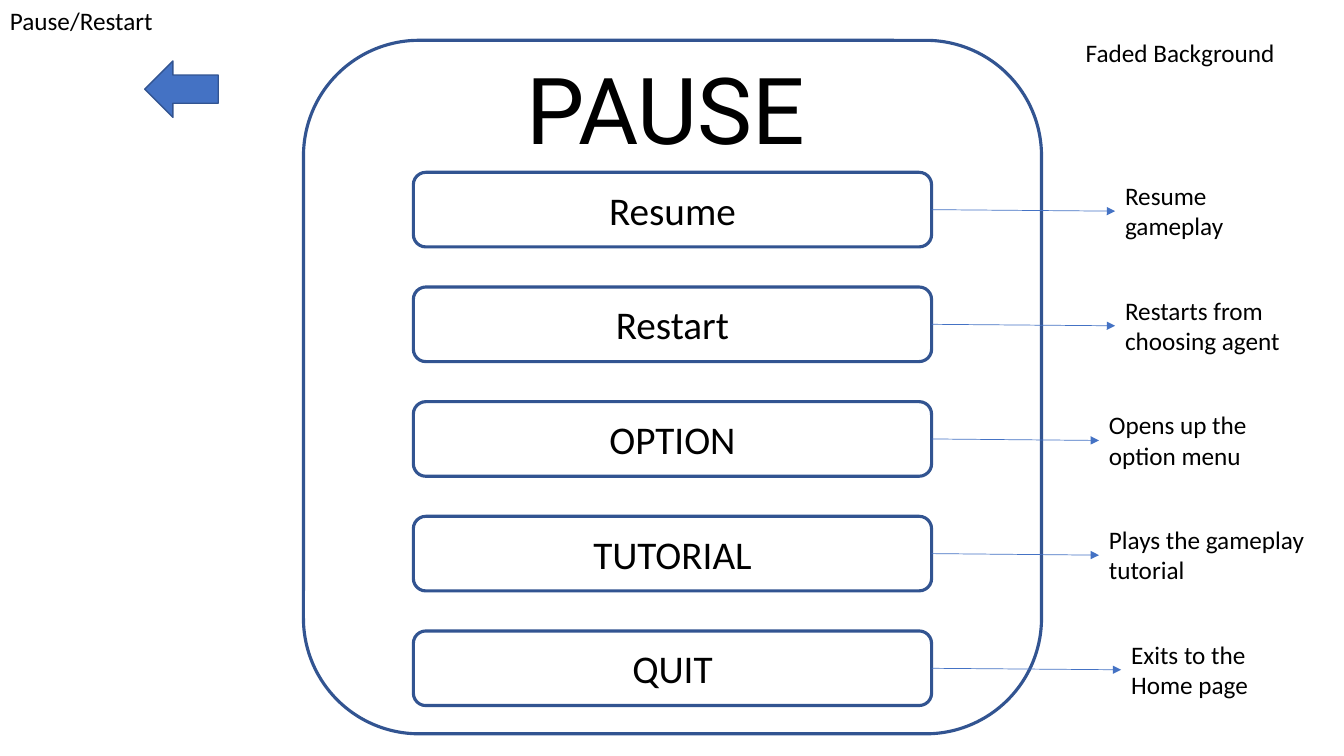
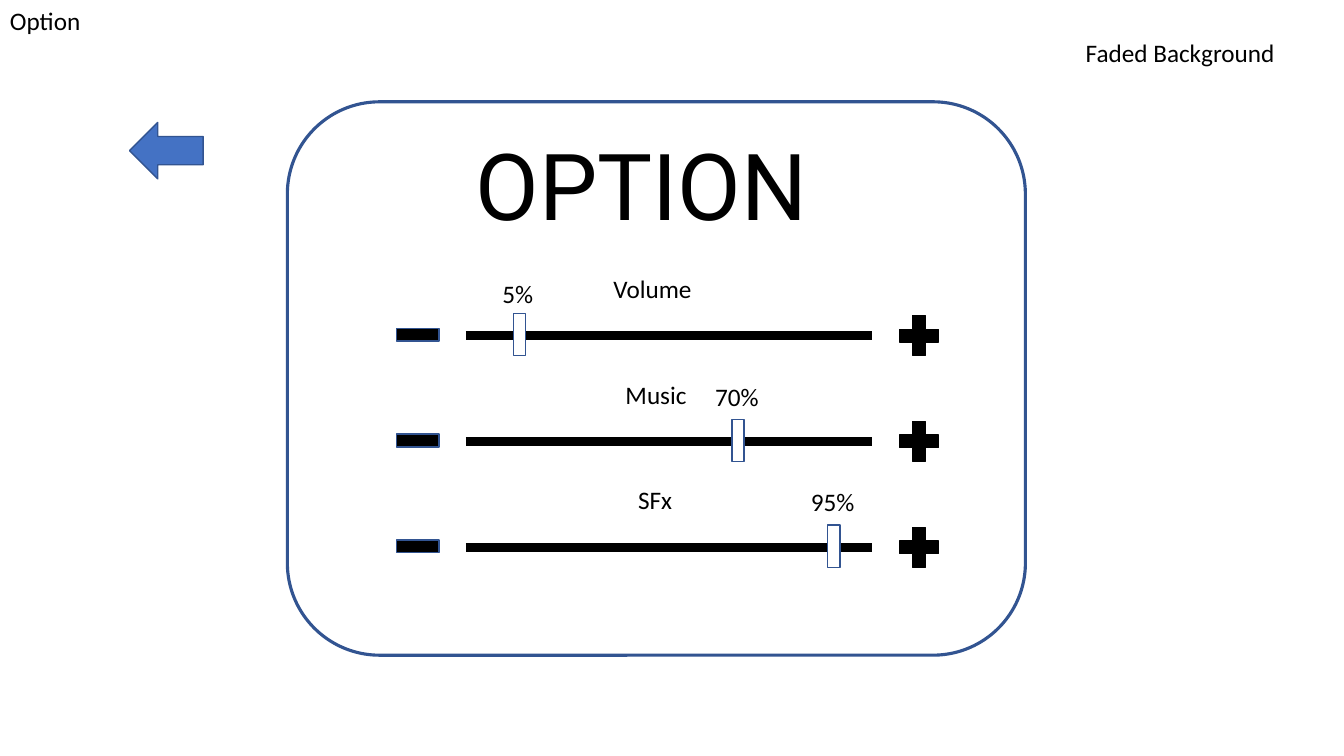
from dataclasses import dataclass

from lxml import etree
from pptx import Presentation
from pptx.dml.color import RGBColor
from pptx.enum.shapes import MSO_CONNECTOR, MSO_SHAPE
from pptx.enum.text import MSO_ANCHOR, MSO_AUTO_SIZE, PP_ALIGN
from pptx.oxml.ns import qn
from pptx.util import Inches, Pt

STRAIGHT = MSO_CONNECTOR.STRAIGHT
ROUNDED, RECTANGLE = MSO_SHAPE.ROUNDED_RECTANGLE, MSO_SHAPE.RECTANGLE
DOWN_ARROW = MSO_SHAPE.DOWN_ARROW
PLUS, MINUS = MSO_SHAPE.MATH_PLUS, MSO_SHAPE.MATH_MINUS
MIDDLE, CENTER = MSO_ANCHOR.MIDDLE, PP_ALIGN.CENTER
GROW = MSO_AUTO_SIZE.SHAPE_TO_FIT_TEXT
LEFT_SIDE, RIGHT_SIDE = 1, 3


@dataclass(frozen=True)
class Theme:
    black: RGBColor = RGBColor(0x00, 0x00, 0x00)
    white: RGBColor = RGBColor(0xFF, 0xFF, 0xFF)
    blue: RGBColor = RGBColor(0x44, 0x72, 0xC4)
    outline: RGBColor = RGBColor(0x32, 0x54, 0x91)
    body_font: str = "Calibri"
    title_font: str = "Roboto"
    label_size: int = 18
    button_size: int = 28
    title_size: int = 66
    thin: float = 0.5
    normal: float = 1
    frame: float = 2.25
    track: float = 6


THEME = Theme()

# Content: screens give boxes as (left, top, width, height) in inches
BACKGROUND_NOTE = "Faded Background"
PAUSE_SCREEN = {
    "name": "Pause/Restart", "name_width": 1.66,
    "title": "PAUSE", "title_box": (5.12, 0.47, 3.09, 1.21),
    "panel": (3.01, 0.4, 7.32, 6.88), "back": (1.52, 0.52),
}
OPTION_SCREEN = {
    "name": "Option", "name_width": 1.05,
    "title": "OPTION", "title_box": (4.62, 1.22, 3.78, 1.21),
    "panel": (2.85, 1.01, 7.32, 5.49), "back": (1.37, 1.13),
}
# Button, explanation, left and width of the explanation
BUTTONS = [
    ("Resume", "Resume gameplay", 11.06, 1.98),
    ("Restart", "Restarts from choosing agent", 11.06, 1.98),
    ("OPTION", "Opens up the option menu", 10.9, 1.98),
    ("TUTORIAL", "Plays the gameplay tutorial", 10.9, 2.15),
    ("QUIT", "Exits to the Home page", 11.12, 1.98),
]
# Name and its width, value and its width, rise of the value, handle centre
SLIDERS = [
    ("Volume", 1.05, "5%", 0.53, 0.62, 5.15),
    ("Music", 0.81, "70%", 0.65, 0.65, 7.32),
    ("SFx", 0.56, "95%", 0.65, 0.65, 8.27),
]

# Layout
BUTTON_LEFT, BUTTON_WIDTH, BUTTON_HEIGHT = 4.1, 5.14, 0.74
FIRST_BUTTON, LAST_BUTTON = 1.71, 6.26
TRACK_LEFT, TRACK_RIGHT, FIRST_TRACK, TRACK_PITCH = 4.62, 8.65, 3.33, 1.05
NAME_CENTER, LABEL_HEIGHT = 6.51, 0.4


def add_text(slide, text, box, size=THEME.label_size, font=THEME.body_font):
    shape = slide.shapes.add_textbox(*map(Inches, box))
    frame = shape.text_frame
    frame.word_wrap = True
    frame.auto_size = GROW
    set_text(frame, text, size, font)
    return shape


def set_text(frame, text, size, font):
    paragraph = frame.paragraphs[0]
    paragraph.text = text
    paragraph.font.size = Pt(size)
    paragraph.font.name = font
    paragraph.font.color.rgb = THEME.black
    return paragraph


def add_shape(slide, kind, box, fill=None, line=THEME.outline, width=THEME.normal):
    shape = slide.shapes.add_shape(kind, *map(Inches, box))
    shape.shadow.inherit = False
    if fill is None:
        shape.fill.background()
    else:
        shape.fill.solid()
        shape.fill.fore_color.rgb = fill
    shape.line.color.rgb = line
    shape.line.width = Pt(width)
    return shape


def add_line(slide, start, end, color, width):
    line = slide.shapes.add_connector(STRAIGHT, *map(Inches, (*start, *end)))
    line.line.color.rgb = color
    line.line.width = Pt(width)
    etree.SubElement(line._element.spPr, qn("a:effectLst"))
    return line


def add_screen(presentation, screen):
    """Everything the screens share: panel, name, title, back arrow, note."""
    slide = presentation.slides.add_slide(presentation.slide_layouts[6])
    add_shape(slide, ROUNDED, screen["panel"], THEME.white, width=THEME.frame)
    add_text(slide, screen["name"], (0, 0, screen["name_width"], LABEL_HEIGHT))
    arrow = add_shape(slide, DOWN_ARROW, (*screen["back"], 0.56, 0.73), THEME.blue)
    arrow.rotation = 90
    add_text(slide, screen["title"], screen["title_box"],
             THEME.title_size, THEME.title_font)
    add_text(slide, BACKGROUND_NOTE, (10.67, 0.32, 2.44, LABEL_HEIGHT))
    return slide


def add_button(slide, top, label, explanation, note_left, note_width):
    button = add_shape(slide, ROUNDED,
                       (BUTTON_LEFT, top, BUTTON_WIDTH, BUTTON_HEIGHT),
                       width=THEME.frame)
    button.text_frame.vertical_anchor = MIDDLE
    paragraph = set_text(button.text_frame, label, THEME.button_size, THEME.body_font)
    paragraph.alignment = CENTER
    note = add_text(slide, explanation, (note_left, top + 0.03, note_width, 0.71))

    # Arrow from the button to its explanation
    middle = top + BUTTON_HEIGHT / 2
    arrow = add_line(slide, (BUTTON_LEFT + BUTTON_WIDTH, middle),
                     (note_left, middle), THEME.blue, THEME.thin)
    arrow.begin_connect(button, RIGHT_SIDE)
    arrow.end_connect(note, LEFT_SIDE)
    outline = arrow.line._get_or_add_ln()
    etree.SubElement(outline, qn("a:tailEnd"), type="triangle")


def add_slider(slide, y, name, name_width, value, value_width, rise, handle):
    add_text(slide, name,
             (NAME_CENTER - name_width / 2, y - 0.67, name_width, LABEL_HEIGHT))
    add_line(slide, (TRACK_LEFT, y), (TRACK_RIGHT, y), THEME.black, THEME.track)
    add_shape(slide, RECTANGLE, (handle - 0.06, y - 0.22, 0.12, 0.42), THEME.white)
    add_shape(slide, PLUS, (8.85, y - 0.27, 0.53, 0.54), THEME.black, THEME.black)
    add_shape(slide, MINUS, (3.86, y - 0.28, 0.57, 0.54), THEME.black)
    add_text(slide, value,
             (handle - value_width / 2, y - rise, value_width, LABEL_HEIGHT))


def main():
    presentation = Presentation()
    presentation.slide_width = Inches(13.33)
    presentation.slide_height = Inches(7.5)

    # Pause menu
    slide = add_screen(presentation, PAUSE_SCREEN)
    pitch = (LAST_BUTTON - FIRST_BUTTON) / (len(BUTTONS) - 1)
    for row, button in enumerate(BUTTONS):
        add_button(slide, FIRST_BUTTON + row * pitch, *button)

    # Option menu
    slide = add_screen(presentation, OPTION_SCREEN)
    for row, slider in enumerate(SLIDERS):
        add_slider(slide, FIRST_TRACK + row * TRACK_PITCH, *slider)

    presentation.save("out.pptx")


if __name__ == "__main__":
    main()
